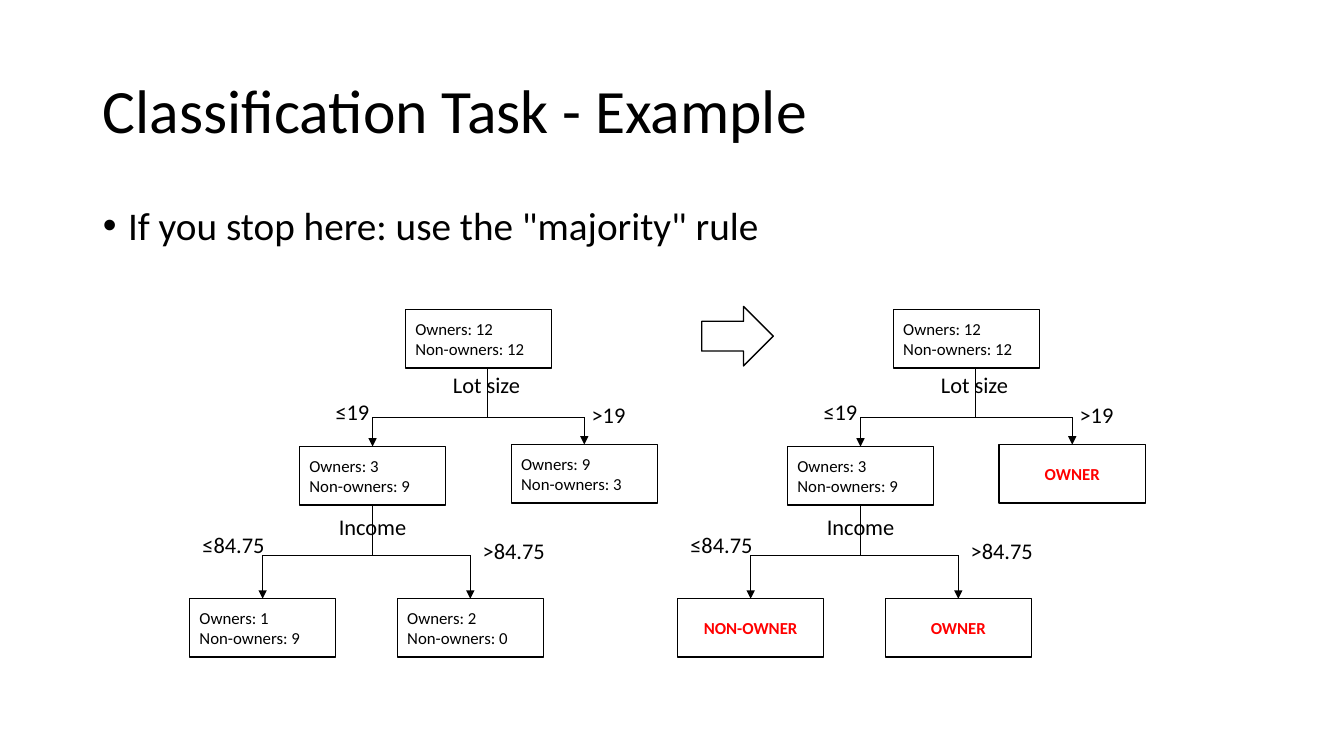
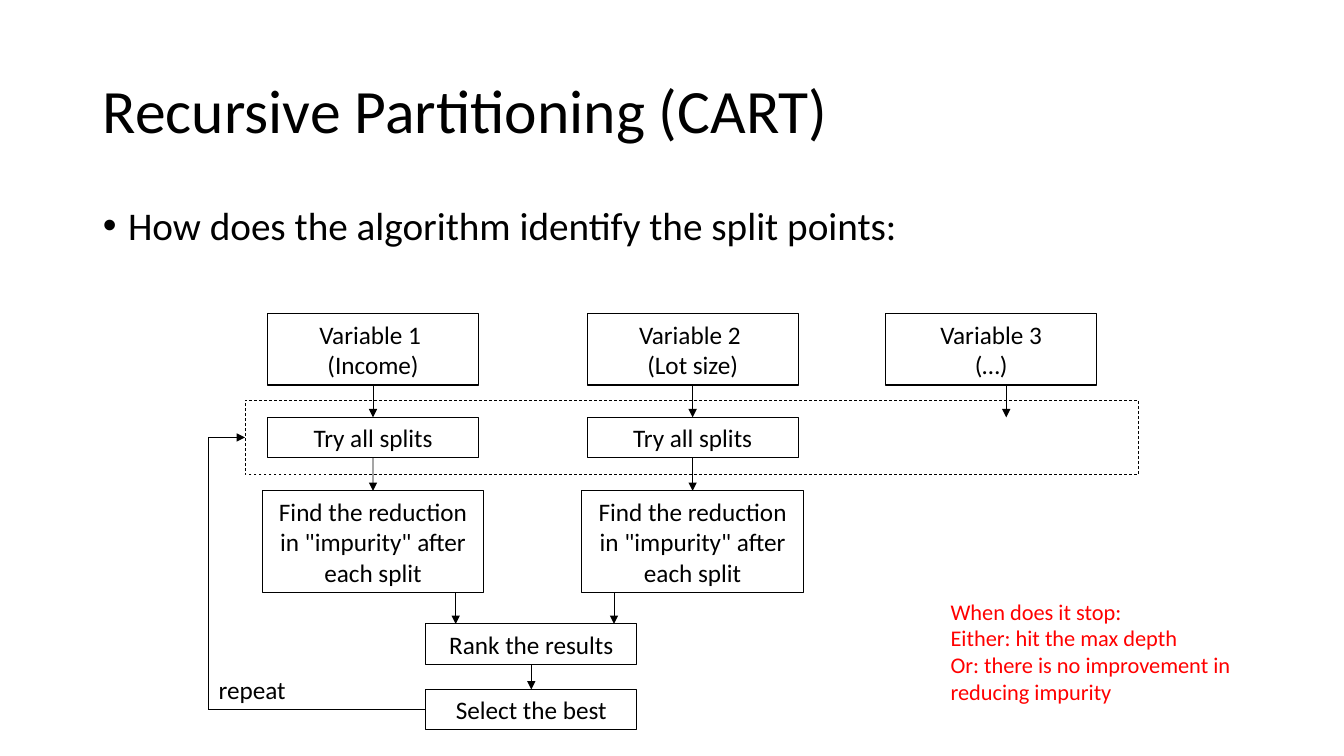
from pptx import Presentation
from pptx import util as u
from pptx.dml.color import RGBColor
from pptx.enum import dml, shapes, text
from pptx.oxml import parse_xml
from pptx.oxml.ns import nsdecls

W, H = 13.33, 7.5
FONT, BLACK, RED = "Calibri", "000000", "FF0000"
TOP, LEFT, BOTTOM = 0, 1, 2
CENTER = text.PP_ALIGN.CENTER
MIDDLE = text.MSO_ANCHOR.MIDDLE
FRAMES = {0: (0.92, 0.4, 11.5, 1.45), 1: (0.92, 2, 11.5, 4.76)}

TREE = {
    "title": "Classification Task - Example",
    "bullet": 'If you stop here: use the "majority" rule',
    "node": (1.45, 0.58),
    "label": (1.29, 0.37),
    "shift": 4.84,
    "nodes": {
        "root": (4.02, 3.07),
        "small": (2.97, 4.43),
        "large": (5.07, 4.41),
        "poor": (1.88, 5.94),
        "rich": (3.94, 5.94),
    },
    "splits": [
        ("root", 4.83, 4.14, ("small", "large")),
        ("small", 3.69, 5.51, ("poor", "rich")),
    ],
    "labels": [
        ("Lot size", 4.18, 3.63), ("≤19", 2.85, 3.9), (">19", 5.39, 3.93),
        ("Income", 3.05, 5.04), ("≤84.75", 1.67, 5.22), (">84.75", 4.45, 5.28),
    ],
    "counts": {
        "root": (12, 12), "small": (3, 9), "large": (9, 3),
        "poor": (1, 9), "rich": (2, 0),
    },
    "classes": {"large": "OWNER", "poor": "NON-OWNER", "rich": "OWNER"},
    "arrow": (6.96, 3.04, 0.71, 0.59),
}

FLOW = {
    "title": "Recursive Partitioning (CART)",
    "bullet": "How does the algorithm identify the split points:",
    "variables": [
        (3.7, ["Variable 1 ", "(Income)"]),
        (6.87, ["Variable 2 ", "(Lot size)"]),
        (9.83, ["Variable 3", "(…)"]),
    ],
    "variable": (3.11, 2.09, 0.71),
    "steps": [
        (4.14, 2.09, 0.4, "Try all splits"),
        (4.87, 2.2, 1.01, 'Find the reduction in "impurity" after each split'),
    ],
    "results": [
        (6.19, 2.09, 0.4, "Rank the results"),
        (6.84, 2.09, 0.4, "Select the best"),
    ],
    "result_x": 5.27,
    "merge_x": (4.52, 6.09),
    "open_x": 9.98,
    "loop_x": 2.07,
    "band": (2.43, 3.97, 8.86, 0.74),
    "repeat": ("repeat", (2.07, 6.64, 0.99, 0.4)),
    "stop": (["When does it stop:", "Either: hit the max depth",
              "Or: there is no improvement in reducing impurity"],
             (9.33, 5.88, 3.67, 1.18)),
}


def rgb(value):
    return RGBColor.from_string(value)


def inches(values):
    return [u.Inches(v) for v in values]


def assign(obj, **values):
    for name, value in values.items():
        setattr(obj, name, value)


def write(tf, lines, size, color=BLACK, bold=False, **paragraph):
    tf.word_wrap = True
    for i, line in enumerate(lines):
        p = tf.add_paragraph() if i else tf.paragraphs[0]
        assign(p, **paragraph)
        r = p.add_run()
        r.text = line
        assign(r.font, name=FONT, size=u.Pt(size), bold=bold)
        r.font.color.rgb = rgb(color)
    return tf


def outline(canvas, kind, at, width):
    sp = canvas.add_shape(kind, *inches(at))
    sp.shadow.inherit = False
    sp.fill.background()
    sp.line.color.rgb = rgb(BLACK)
    sp.line.width = u.Pt(width)
    return sp


def box(canvas, at, lines, size, width, **style):
    sp = outline(canvas, shapes.MSO_SHAPE.RECTANGLE, at, width)
    write(sp.text_frame, lines, size, **style).vertical_anchor = MIDDLE
    return sp


def label(canvas, at, lines, size, **style):
    write(canvas.add_textbox(*inches(at)).text_frame, lines, size, **style)


def link(canvas, start, end, arrow=False):
    joined = [hasattr(point[0], "shape_id") for point in (start, end)]
    ends = [(0, 0) if j else inches(p) for j, p in zip(joined, (start, end))]
    c = canvas.add_connector(shapes.MSO_CONNECTOR.STRAIGHT, *ends[0], *ends[1])
    if joined[0]:
        c.begin_connect(*start)
    if joined[1]:
        c.end_connect(*end)
    c.line.color.rgb = rgb(BLACK)
    c.line.width = u.Pt(0.5)
    if arrow:
        c.line._get_or_add_ln().append(
            parse_xml(f'<a:tailEnd {nsdecls("a")} type="triangle"/>'))
    c._element.spPr.append(parse_xml(f'<a:effectLst {nsdecls("a")}/>'))


def place(holder, at):
    assign(holder, **dict(zip(("left", "top", "width", "height"), inches(at))))


def new_slide(prs, content):
    s = prs.slides.add_slide(prs.slide_layouts[1])
    title, body = s.placeholders
    write(title.text_frame, [content["title"]], 44, line_spacing=0.9,
          alignment=text.PP_ALIGN.LEFT).vertical_anchor = MIDDLE
    tf = write(body.text_frame, [content["bullet"]], 28, line_spacing=0.9,
               space_before=u.Pt(10))
    pPr = tf.paragraphs[0]._p.get_or_add_pPr()
    pPr.set("marL", str(u.Inches(0.25)))
    pPr.set("indent", str(-u.Inches(0.25)))
    return s


def draw_tree(canvas, dx, classes):
    w, h = TREE["node"]
    nodes = {}
    for name, (x, y) in TREE["nodes"].items():
        if name in classes:
            lines = [classes[name]]
            style = dict(color=RED, bold=True, alignment=CENTER)
        else:
            lines = ["Owners: %d" % TREE["counts"][name][0],
                     "Non-owners: %d" % TREE["counts"][name][1]]
            style = dict(alignment=text.PP_ALIGN.LEFT)
        nodes[name] = box(canvas, (x + dx, y, w, h), lines, 12, 1, **style)
    for parent, stem, y, children in TREE["splits"]:
        px, py = TREE["nodes"][parent]
        centered = abs(stem - px - w / 2) < 0.02
        start = (nodes[parent], BOTTOM) if centered else (stem + dx, py + h)
        stem_x = px + w / 2 if centered else stem
        link(canvas, start, (stem_x + dx, y))
        xs = [TREE["nodes"][child][0] + w / 2 + dx for child in children]
        link(canvas, (xs[0], y), (xs[1], y))
        for x, child in zip(xs, children):
            link(canvas, (x, y), (nodes[child], TOP), arrow=True)
    for caption, x, y in TREE["labels"]:
        label(canvas, (x + dx, y, *TREE["label"]), [caption], 16,
              alignment=CENTER)


def tree_slide(prs):
    s = new_slide(prs, TREE)
    for i, classes in enumerate(({}, TREE["classes"])):
        draw_tree(s.shapes.add_group_shape().shapes, i * TREE["shift"], classes)
    outline(s.shapes, shapes.MSO_SHAPE.RIGHT_ARROW, TREE["arrow"], 1)


def stack(canvas, center, rows):
    boxes = []
    for y, w, h, lines in rows:
        lines = [lines] if isinstance(lines, str) else lines
        boxes.append(box(canvas, (center - w / 2, y, w, h), lines, 18, 0.75,
                         alignment=CENTER))
    for upper, lower in zip(boxes, boxes[1:]):
        link(canvas, (upper, BOTTOM), (lower, TOP), arrow=True)
    return boxes


def flow_slide(prs):
    s = new_slide(prs, FLOW)
    canvas = s.shapes
    steps, results = FLOW["steps"], FLOW["results"]
    last = len(FLOW["variables"]) - 1
    for i, (center, name) in enumerate(FLOW["variables"]):
        rows = [(*FLOW["variable"], name)]
        stack(canvas, center, rows + steps if i < last else rows)
    best = stack(canvas, FLOW["result_x"], results)[-1]

    find_y, _, find_h, _ = steps[-1]
    for x in FLOW["merge_x"]:
        link(canvas, (x, find_y + find_h), (x, results[0][0]), arrow=True)
    y, _, h = FLOW["variable"]
    link(canvas, (FLOW["open_x"], y + h), (FLOW["open_x"], steps[0][0]),
         arrow=True)

    band = outline(canvas, shapes.MSO_SHAPE.RECTANGLE, FLOW["band"], 0.5)
    band.line.dash_style = dml.MSO_LINE.DASH
    best_y, _, best_h, _ = results[-1]
    low = (FLOW["loop_x"], best_y + best_h / 2)
    high = (FLOW["loop_x"], FLOW["band"][1] + FLOW["band"][3] / 2)
    link(canvas, (best, LEFT), low)
    link(canvas, low, high)
    link(canvas, high, (band, LEFT), arrow=True)

    caption, at = FLOW["repeat"]
    label(canvas, at, [caption], 18)
    lines, at = FLOW["stop"]
    label(canvas, at, lines, 16, color=RED)


def main():
    prs = Presentation()
    prs.slide_width, prs.slide_height = inches((W, H))
    for holder in prs.slide_layouts[1].placeholders:
        if holder.placeholder_format.idx in FRAMES:
            place(holder, FRAMES[holder.placeholder_format.idx])
    tree_slide(prs)
    flow_slide(prs)
    prs.save("out.pptx")


if __name__ == "__main__":
    main()
